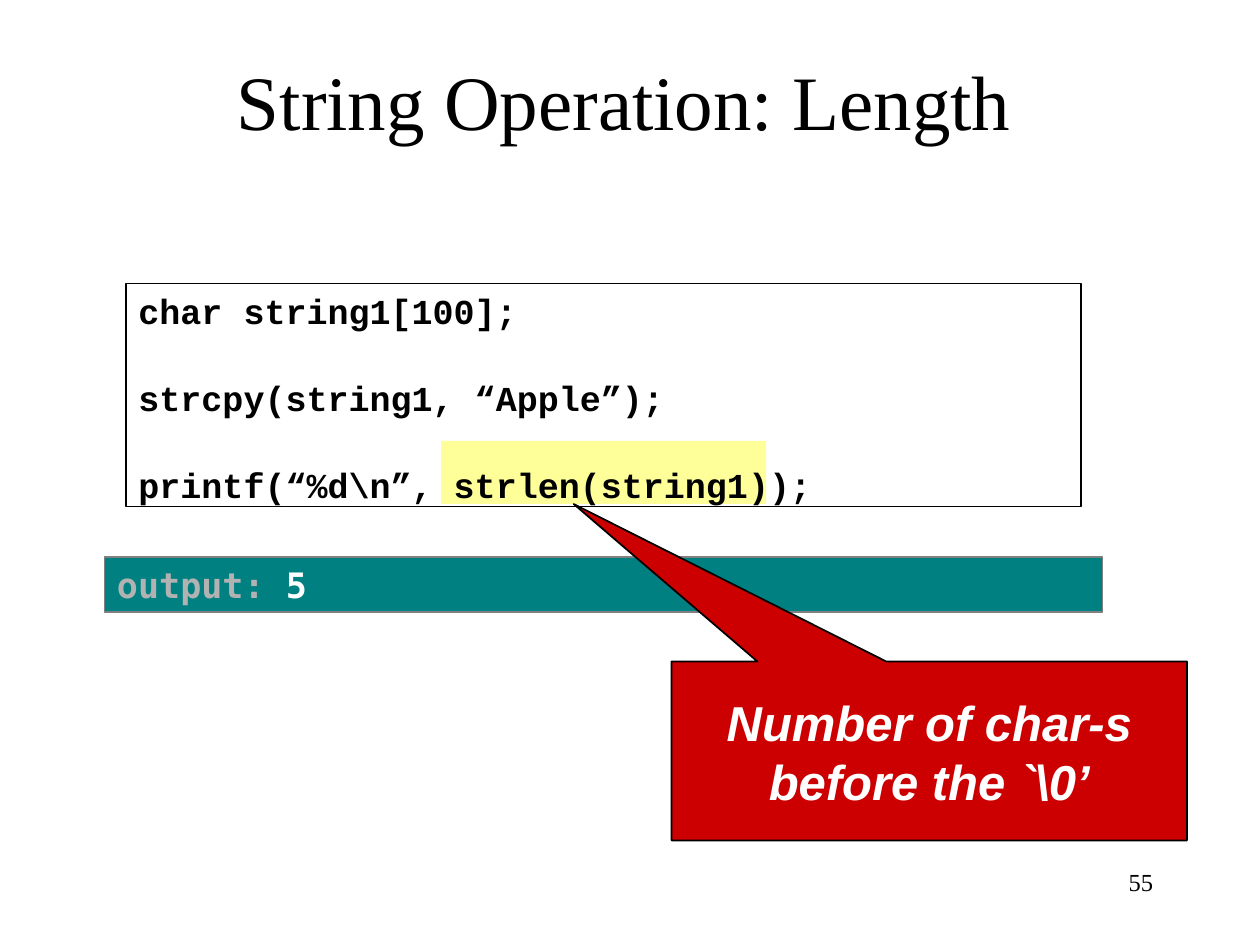
from dataclasses import dataclass
from typing import Optional

from pptx import Presentation
from pptx.dml.color import RGBColor
from pptx.enum.shapes import MSO_SHAPE as Kind
from pptx.enum.text import MSO_ANCHOR as Anchor, PP_ALIGN as Align
from pptx.util import Inches, Pt

BLACK = RGBColor(0x00, 0x00, 0x00)
WHITE = RGBColor(0xFF, 0xFF, 0xFF)
YELLOW = RGBColor(0xFF, 0xFF, 0x99)
TEAL = RGBColor(0x00, 0x80, 0x80)
GRAY = RGBColor(0x80, 0x80, 0x80)
SILVER = RGBColor(0xB2, 0xB2, 0xB2)
RED = RGBColor(0xCC, 0x00, 0x00)
SERIF = "Times New Roman"


@dataclass
class Box:
    left: float
    top: float
    width: float
    height: float
    fill: Optional[RGBColor] = None
    line: Optional[RGBColor] = None
    kind: Kind = Kind.RECTANGLE


@dataclass
class Style:
    font: str
    size: float
    color: RGBColor = BLACK
    bold: bool = False
    slant: bool = False
    align: Align = Align.LEFT
    anchor: Anchor = Anchor.TOP
    gap: float = 0
    wrap: bool = True


def place(shape, box: Box) -> None:
    shape.left, shape.top = Inches(box.left), Inches(box.top)
    shape.width, shape.height = Inches(box.width), Inches(box.height)


def draw(slide, box: Box):
    shape = slide.shapes.add_shape(box.kind, 0, 0, 0, 0)
    place(shape, box)
    shape.shadow.inherit = False
    if box.fill is None:
        shape.fill.background()
    else:
        shape.fill.solid()
        shape.fill.fore_color.rgb = box.fill
    if box.line is None:
        shape.line.fill.background()
    else:
        shape.line.color.rgb = box.line
        shape.line.width = Pt(1)
    return shape


def write(shape, text: str, style: Style) -> None:
    frame = shape.text_frame
    frame.text = text
    frame.word_wrap = style.wrap
    frame.vertical_anchor = style.anchor
    for index, para in enumerate(frame.paragraphs):
        para.alignment = style.align
        para.space_before = Pt(style.gap if index else 0)
        for run in para.runs:
            font = run.font
            font.name, font.size = style.font, Pt(style.size)
            font.bold, font.italic = style.bold, style.slant
            font.color.rgb = style.color


def main() -> None:
    deck = Presentation()
    deck.slide_width, deck.slide_height = Inches(10), Inches(7.5)
    slide = deck.slides.add_slide(deck.slide_layouts[5])

    title = slide.shapes.title
    place(title, Box(0.33, 0.17, 9.25, 1.25))
    write(title, "String Operation: Length",
          Style(SERIF, 44, align=Align.CENTER, anchor=Anchor.MIDDLE))

    draw(slide, Box(3.5, 3.5, 2.58, 0.5, YELLOW))

    code = draw(slide, Box(1, 2.25, 7.58, 1.77, line=BLACK))
    lines = ["char string1[100];",
             "strcpy(string1, “Apple”);",
             r"printf(“%d\n”, strlen(string1));"]
    write(code, "\n".join(lines),
          Style("Courier New", 20, bold=True, gap=25.6))

    result = draw(slide, Box(0.83, 4.42, 7.92, 0.44, TEAL, GRAY))
    write(result, "output: ",
          Style("DejaVu Sans Mono", 20, SILVER, bold=True))
    value = result.text_frame.paragraphs[0].add_run()
    value.text = "5"
    value.font.name, value.font.size = "DejaVu Sans Mono", Pt(20)
    value.font.bold = True
    value.font.color.rgb = WHITE

    note = draw(slide, Box(5.33, 5.25, 4.09, 1.42, RED, BLACK,
                           Kind.RECTANGULAR_CALLOUT))
    note.adjustments[0], note.adjustments[1] = -0.69, -1.38
    write(note, "Number of char-s\nbefore the `\\0’",
          Style("Arial", 28, WHITE, True, True, Align.CENTER,
                Anchor.MIDDLE, wrap=False))

    number = slide.shapes.add_textbox(0, 0, 0, 0)
    place(number, Box(7.17, 6.83, 2.08, 0.5))
    write(number, "55", Style(SERIF, 14, align=Align.RIGHT))

    deck.save("out.pptx")


if __name__ == "__main__":
    main()
